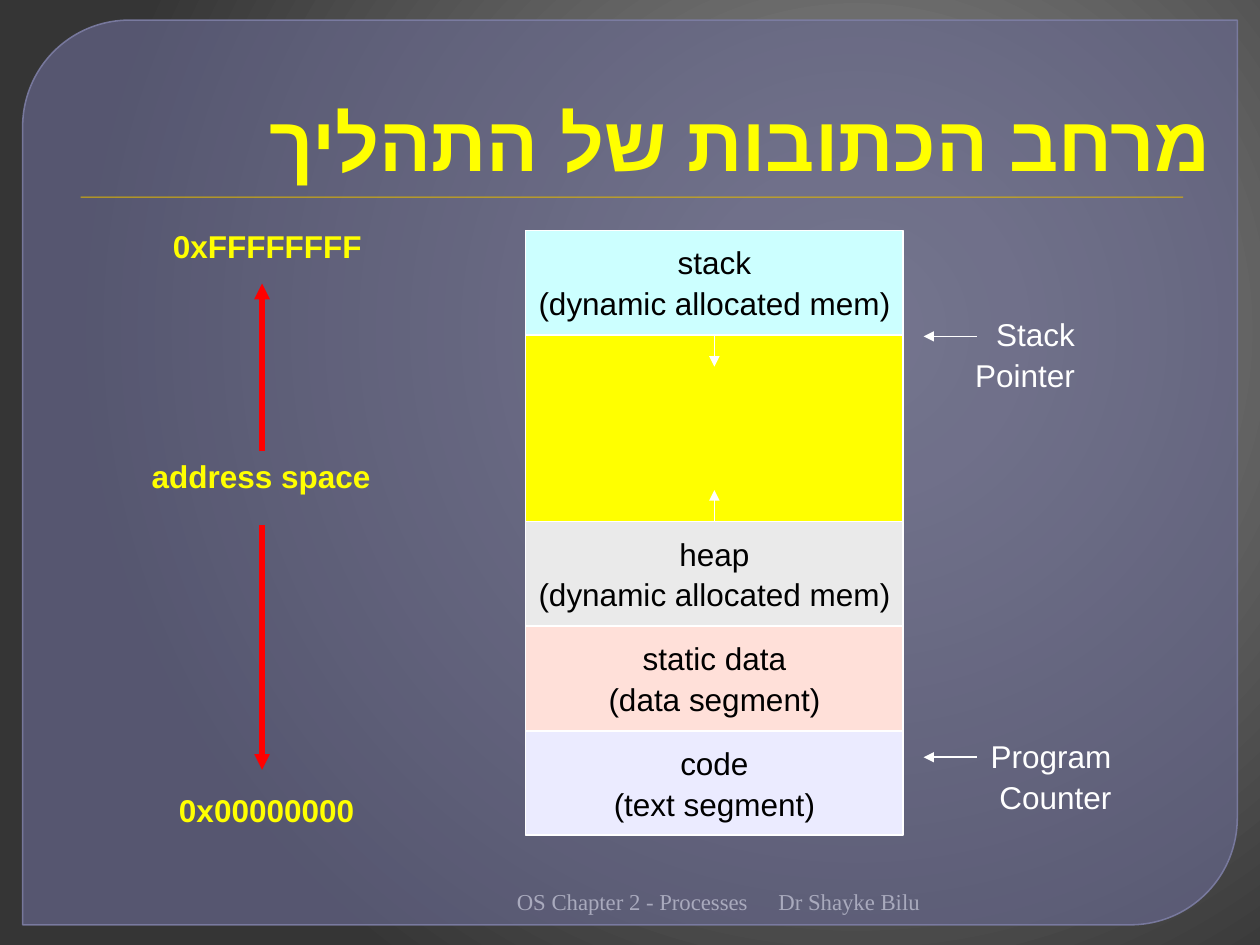
from lxml.etree import SubElement
from pptx import Presentation
from pptx.dml.color import RGBColor
from pptx.enum.shapes import MSO_CONNECTOR, MSO_SHAPE
from pptx.enum.text import MSO_ANCHOR, MSO_AUTO_SIZE, PP_ALIGN
from pptx.oxml import parse_xml
from pptx.oxml.ns import nsdecls, qn
from pptx.util import Inches, Pt

WHITE = RGBColor(0xFF, 0xFF, 0xFF)
BLACK = RGBColor(0x00, 0x00, 0x00)
YELLOW = RGBColor(0xFF, 0xFF, 0x00)
RED = RGBColor(0xFF, 0x00, 0x00)
GOLD = RGBColor(0xE0, 0xB6, 0x02)
PANEL = RGBColor(0x68, 0x69, 0x90)
PANEL_EDGE = RGBColor(0x7E, 0x7F, 0xA6)
FOOTER = RGBColor(0xA9, 0xAA, 0xBD)
CYAN = RGBColor(0xCC, 0xFF, 0xFF)
GREY = RGBColor(0xEA, 0xEA, 0xEA)
PINK = RGBColor(0xFF, 0xE0, 0xD9)
LILAC = RGBColor(0xEB, 0xEB, 0xFF)
BACKGROUND_STOPS = [(0, "8C8C8C"), (20, "7F7F7F"), (100, "353535")]

# Memory column: left, top, width, and the height of a segment and of the gap
COL_X, COL_Y, COL_W = 4.17, 1.83, 3
SEGMENT_H, FREE_H = 0.83, 1.48
SEGMENTS = [
    ("stack\n(dynamic allocated mem)", CYAN, SEGMENT_H),
    ("", YELLOW, FREE_H),
    ("heap\n(dynamic allocated mem)", GREY, SEGMENT_H),
    ("static data\n(data segment)", PINK, SEGMENT_H),
    ("code\n(text segment)", LILAC, SEGMENT_H),
]


def set_background(s):
    """Fill the slide with a radial gradient."""
    stops = "".join(
        f'<a:gs pos="{pos * 1000}"><a:srgbClr val="{c}"/></a:gs>'
        for pos, c in BACKGROUND_STOPS)
    s._element.cSld.insert(0, parse_xml(
        f'<p:bg {nsdecls("p", "a")}><p:bgPr><a:gradFill><a:gsLst>{stops}</a:gsLst>'
        '<a:path path="circle"><a:fillToRect l="68000" t="35000" r="32000" b="65000"/>'
        '</a:path></a:gradFill><a:effectLst/></p:bgPr></p:bg>'))


def set_alpha(fill, percent):
    clr = fill._xPr.find(qn("a:solidFill"))[0]
    SubElement(clr, qn("a:alpha")).set("val", str(percent * 1000))


def write(tf, text, size=18, color=WHITE, font="Arial", bold=False,
          align=PP_ALIGN.RIGHT, anchor=MSO_ANCHOR.TOP, before=0, wrap=False,
          grow=False):
    """Write right-to-left lines; before is the space above in percent of a line."""
    tf.word_wrap = wrap
    tf.vertical_anchor = anchor
    tf.auto_size = MSO_AUTO_SIZE.SHAPE_TO_FIT_TEXT if grow else MSO_AUTO_SIZE.NONE
    for i, line in enumerate(text.split("\n")):
        p = tf.add_paragraph() if i else tf.paragraphs[0]
        p.alignment = align
        pPr = p._p.get_or_add_pPr()
        pPr.set("rtl", "1")
        if before:
            spacing = SubElement(pPr, qn("a:spcBef"))
            SubElement(spacing, qn("a:spcPct")).set("val", str(before * 1000))
        r = p.add_run()
        r.text = line
        r.font.size, r.font.bold, r.font.name = Pt(size), bold, font
        r.font.color.rgb = color
        SubElement(r._r.get_or_add_rPr(), qn("a:cs")).set("typeface", font)


def add_label(s, text, x, y, w, h, **fmt):
    tb = s.shapes.add_textbox(Inches(x), Inches(y), Inches(w), Inches(h))
    write(tb.text_frame, text, **fmt)


def add_block(s, x, y, w, h, fill, line=None, width=1, kind=MSO_SHAPE.RECTANGLE):
    sp = s.shapes.add_shape(kind, Inches(x), Inches(y), Inches(w), Inches(h))
    sp.shadow.inherit = False
    sp.fill.solid()
    sp.fill.fore_color.rgb = fill
    if line is None:
        sp.line.fill.background()
    else:
        sp.line.color.rgb = line
        sp.line.width = Pt(width)
    return sp


def add_arrow(s, x1, y1, x2, y2, color=WHITE, width=1):
    """Draw a line with its arrowhead at the second point."""
    c = s.shapes.add_connector(MSO_CONNECTOR.STRAIGHT, Inches(x1), Inches(y1),
                               Inches(x2), Inches(y2))
    c.line.color.rgb = color
    c.line.width = Pt(width)
    SubElement(c.line._get_or_add_ln(), qn("a:tailEnd")).set("type", "triangle")
    SubElement(c._element.spPr, qn("a:effectLst"))
    return c


def add_frame(s):
    """Put the panel and the rule under the title behind everything else."""
    panel = add_block(s, 0.18, 0.16, 9.64, 7.18, PANEL, PANEL_EDGE, 0.87,
                      MSO_SHAPE.ROUND_2_DIAG_RECTANGLE)
    panel.adjustments[0], panel.adjustments[1] = 0.118, 0
    set_alpha(panel.fill, 65)
    set_alpha(panel.line.fill, 88)
    rule = add_block(s, 0.64, 1.56, 8.75, 0.01, GOLD)
    for sp in (rule, panel):
        s.shapes._spTree.insert(2, sp._element)


def add_title(s, text):
    title = s.shapes.title
    title.left, title.top = Inches(0.5), Inches(0.28)
    title.width, title.height = Inches(9.22), Inches(1.25)
    write(title.text_frame, text, size=44, color=YELLOW, bold=True,
          anchor=MSO_ANCHOR.BOTTOM, wrap=True)


def add_address_scale(s):
    fmt = dict(color=YELLOW, bold=True, before=50, grow=True)
    add_label(s, "0xFFFFFFFF", 1.25, 1.75, 1.72, 0.4, **fmt)
    add_label(s, "address space", 1.08, 3.58, 1.96, 0.4, **fmt)
    add_label(s, "0x00000000", 1.31, 6.23, 1.6, 0.4, **fmt)
    add_arrow(s, 2.08, 3.58, 2.08, 2.25, RED, 3)
    add_arrow(s, 2.08, 4.17, 2.08, 6.11, RED, 3)


def add_memory(s):
    y, blocks = COL_Y, []
    for text, fill, h in SEGMENTS:
        sp = add_block(s, COL_X, y, COL_W, h, fill, WHITE)
        if text:
            write(sp.text_frame, text, color=BLACK, align=PP_ALIGN.CENTER,
                  anchor=MSO_ANCHOR.MIDDLE, before=10)
        blocks.append(sp)
        y += h
    stack, _, heap = blocks[:3]
    mid, free_y = COL_X + COL_W / 2, COL_Y + SEGMENT_H
    heap_y = free_y + FREE_H
    add_arrow(s, mid, free_y, mid, free_y + 0.25).begin_connect(stack, 2)
    add_arrow(s, mid, heap_y, mid, heap_y - 0.25).begin_connect(heap, 0)


def add_pointers(s):
    for text, x, y, w, arrow_y in [("Stack\nPointer", 7.64, 2.45, 0.99, 2.67),
                                   ("Program\nCounter", 7.76, 5.8, 1.16, 6.01)]:
        add_arrow(s, 7.75, arrow_y, 7.33, arrow_y)
        add_label(s, text, x, y, w, 0.73, before=10, grow=True)


def add_footer(s):
    fmt = dict(size=13, color=FOOTER, font="Times New Roman", wrap=True)
    add_label(s, "OS Chapter 2 - Processes", 1.42, 7, 4.61, 0.3, **fmt)
    add_label(s, "Dr Shayke Bilu", 6.08, 7, 3.28, 0.3, align=PP_ALIGN.LEFT, **fmt)


def main():
    prs = Presentation()
    prs.slide_width, prs.slide_height = Inches(10), Inches(7.5)
    s = prs.slides.add_slide(prs.slide_layouts[5])
    set_background(s)
    add_frame(s)
    add_title(s, "מרחב הכתובות של התהליך")
    add_address_scale(s)
    add_memory(s)
    add_pointers(s)
    add_footer(s)
    prs.save("out.pptx")


if __name__ == "__main__":
    main()
